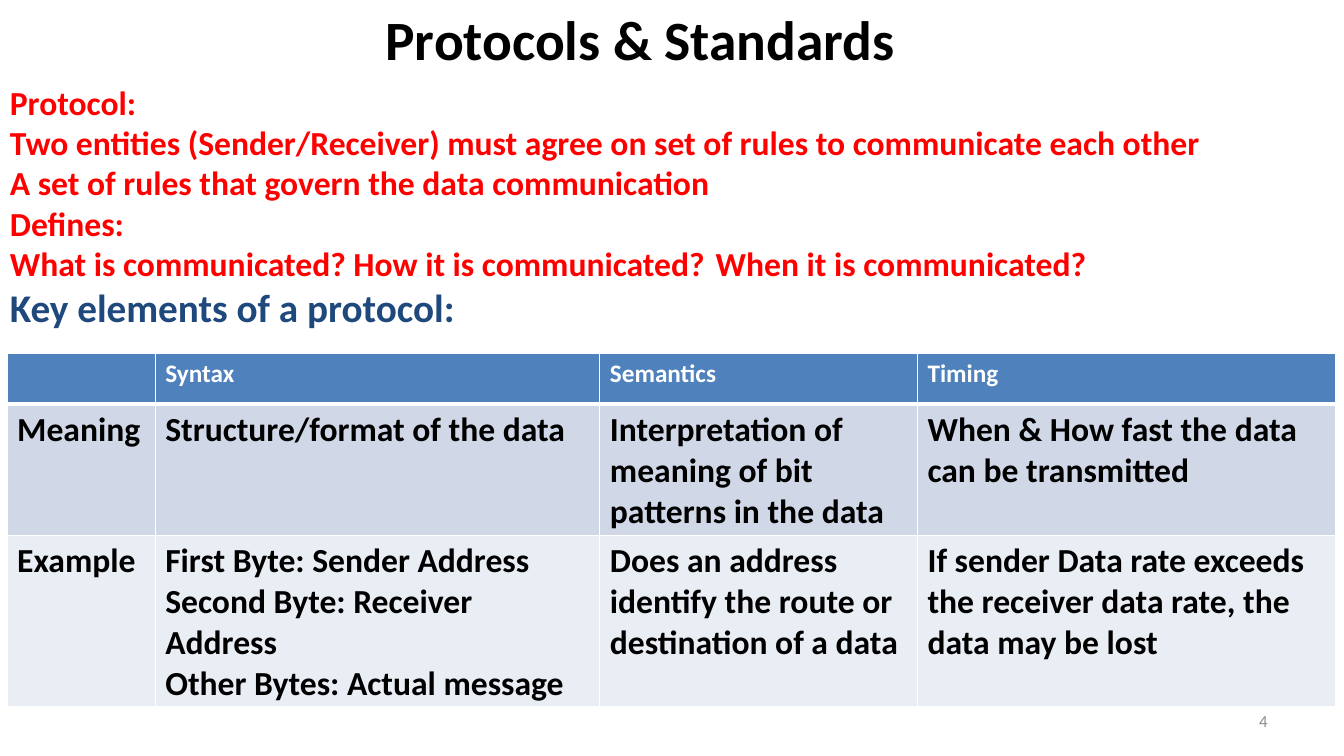
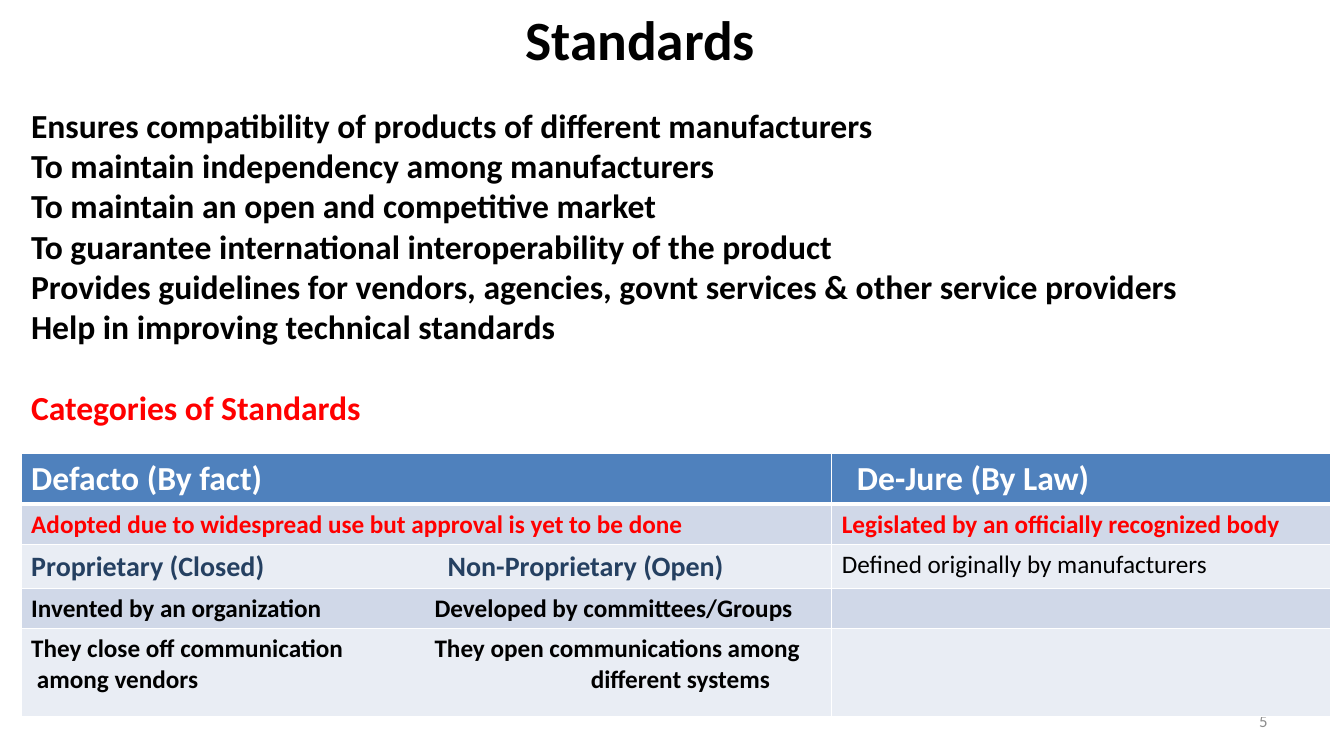
from dataclasses import dataclass, field
from typing import Optional

from lxml import etree
from pptx import Presentation
from pptx import util as u
from pptx.dml.color import RGBColor
from pptx.enum import text as t
from pptx.oxml import ns


# Theme: colours, type sizes and rules
@dataclass(frozen=True)
class Theme:
    face: str = "Calibri"
    black: str = "000000"
    white: str = "FFFFFF"
    red: str = "FF0000"
    blue: str = "1F497D"
    navy: str = "254061"
    grey: str = "8C8C8C"
    head: str = "4F81BD"
    bands: tuple = ("D0D8E8", "E9EDF4")
    title: float = 39.6
    large: float = 28
    body: float = 24
    mid: float = 20
    small: float = 18
    foot: float = 12
    thin: float = 1
    thick: float = 3


TH = Theme()


@dataclass(frozen=True)
class Line:
    text: str
    size: float = TH.body
    color: str = TH.black
    bold: bool = True
    before: float = 0
    stop: Optional[float] = None


@dataclass(frozen=True)
class Box:
    left: float
    top: float
    width: float
    height: float

    def place(self) -> list:
        return [u.Inches(v) for v in (self.left, self.top, self.width, self.height)]


@dataclass(frozen=True)
class Grid:
    left: float
    top: float
    cols: list
    rows: list
    cells: list
    pads: dict = field(default_factory=dict)


@dataclass(frozen=True)
class Page:
    title: str
    number: int
    box: Box
    lines: list
    grid: Grid


# Text
def write(frame, lines: list, align=t.PP_ALIGN.LEFT) -> None:
    for i, line in enumerate(lines):
        para = frame.paragraphs[0] if i == 0 else frame.add_paragraph()
        para.alignment = align
        if line.before:
            para.space_before = u.Pt(line.before)
        if line.stop:
            props = para._p.get_or_add_pPr()
            tabs = etree.SubElement(props, ns.qn("a:tabLst"))
            etree.SubElement(tabs, ns.qn("a:tab"), pos=str(u.Inches(line.stop)), algn="l")
        run = para.add_run()
        run.text = line.text
        style = {"name": TH.face, "size": u.Pt(line.size), "bold": line.bold}
        for key, val in style.items():
            setattr(run.font, key, val)
        run.font.color.rgb = RGBColor.from_string(line.color)


def label(slide, box: Box, lines: list, align=t.PP_ALIGN.LEFT,
          anchor=t.MSO_ANCHOR.TOP) -> None:
    frame = slide.shapes.add_textbox(*box.place()).text_frame
    frame.word_wrap = True
    frame.vertical_anchor = anchor
    write(frame, lines, align)


# Table
def edge(cell, head: bool) -> None:
    props = cell._tc.get_or_add_tcPr()
    for side in ("lnL", "lnR", "lnT", "lnB"):
        size = TH.thick if head and side == "lnB" else TH.thin
        line = etree.SubElement(props, ns.qn(f"a:{side}"), w=str(u.Pt(size)))
        fill = etree.SubElement(line, ns.qn("a:solidFill"))
        etree.SubElement(fill, ns.qn("a:srgbClr"), val=TH.white)


def table(slide, grid: Grid) -> None:
    box = Box(grid.left, grid.top, sum(grid.cols), sum(grid.rows))
    tab = slide.shapes.add_table(len(grid.rows), len(grid.cols), *box.place()).table
    tab.horz_banding = False
    for col, width in zip(tab.columns, grid.cols):
        col.width = u.Inches(width)
    for r, (row, height) in enumerate(zip(tab.rows, grid.rows)):
        row.height = u.Inches(height)
        shade = TH.bands[(r - 1) % 2] if r else TH.head
        for c, lines in enumerate(grid.cells[r]):
            cell = tab.cell(r, c)
            edge(cell, r == 0)
            cell.fill.solid()
            cell.fill.fore_color.rgb = RGBColor.from_string(shade)
            if (r, c) in grid.pads:
                cell.margin_left = u.Inches(grid.pads[r, c])
            write(cell.text_frame, lines)


# Shared page frame
def draw(deck, page: Page) -> None:
    slide = deck.slides.add_slide(deck.slide_layouts[6])
    mid = t.MSO_ANCHOR.MIDDLE
    label(slide, Box(1.86, 0, 8.98, 0.76), [Line(page.title, TH.title)],
          t.PP_ALIGN.CENTER, mid)
    label(slide, Box(9.56, 6.95, 3.11, 0.4),
          [Line(str(page.number), TH.foot, TH.grey, False)], t.PP_ALIGN.RIGHT, mid)
    label(slide, page.box, page.lines)
    table(slide, page.grid)


def plain(*words: str) -> list:
    return [[Line(word)] for word in words]


def heads(size: float, *words: str) -> list:
    return [[Line(word, size, TH.white)] if word else [] for word in words]


# Content
RULES = [Line(s, color=TH.red) for s in (
    "Protocol:",
    "Two entities (Sender/Receiver) must agree on set of rules to communicate each other",
    "A set of rules that govern the data communication",
    "Defines:",
    "What is communicated? How it is communicated?\tWhen it is communicated?",
)] + [Line("Key elements of a protocol:", TH.large, TH.blue)]

PARTS = Grid(0.07, 3.51, [1.47, 4.41, 3.15, 4.15], [0.5, 1.11, 1.7], [
    heads(TH.small, "", "Syntax", "Semantics", "Timing"),
    plain("Meaning", "Structure/format of the data",
          "Interpretation of meaning of bit patterns in the data",
          "When & How fast the data can be transmitted"),
    [[Line("Example")],
     [Line("First Byte: Sender Address"), Line("Second Byte: Receiver Address"),
      Line("Other Bytes: Actual message")],
     *plain("Does an address identify the route or destination of a data",
            "If sender Data rate exceeds the receiver data rate, the data may be lost")],
])

AIMS = [Line(s) for s in (
    "Ensures compatibility of products of different manufacturers",
    "To maintain independency among manufacturers",
    "To maintain an open and competitive market",
    "To guarantee international interoperability of the product",
    "Provides guidelines for vendors, agencies, govnt services & other service providers",
    "Help in improving technical standards",
)] + [Line("Categories of Standards", color=TH.red, before=29)]

KINDS = Grid(0.21, 4.5, [8.04, 4.95], [0.44, 0.35, 0.38, 0.35, 0.87], [
    heads(TH.body, "Defacto (By fact)", "De-Jure (By Law)"),
    [[Line("Adopted due to widespread use but approval is yet to be done",
           TH.small, TH.red)],
     [Line("Legislated by an officially recognized body", TH.small, TH.red)]],
    [[Line("Proprietary (Closed)\tNon-Proprietary (Open)", TH.mid, TH.navy, stop=4.13)],
     [Line("Defined originally by manufacturers", TH.small, bold=False)]],
    [[Line("Invented by an organization\tDeveloped by committees/Groups",
           TH.small, stop=4)], []],
    [[Line("They close off communication\tThey open communications among",
           TH.small, stop=4),
      Line(" among vendors\tdifferent systems", TH.small, stop=5.55)], []],
], {(0, 1): 0.25})

PAGES = [
    Page("Protocols & Standards", 4, Box(0, 0.76, 13.33, 2.65), RULES, PARTS),
    Page("Standards", 5, Box(0.21, 0.99, 12.44, 3.4), AIMS, KINDS),
]


def main() -> None:
    deck = Presentation()
    deck.slide_width, deck.slide_height = u.Inches(13.33), u.Inches(7.5)
    for page in PAGES:
        draw(deck, page)
    deck.save("out.pptx")


if __name__ == "__main__":
    main()
